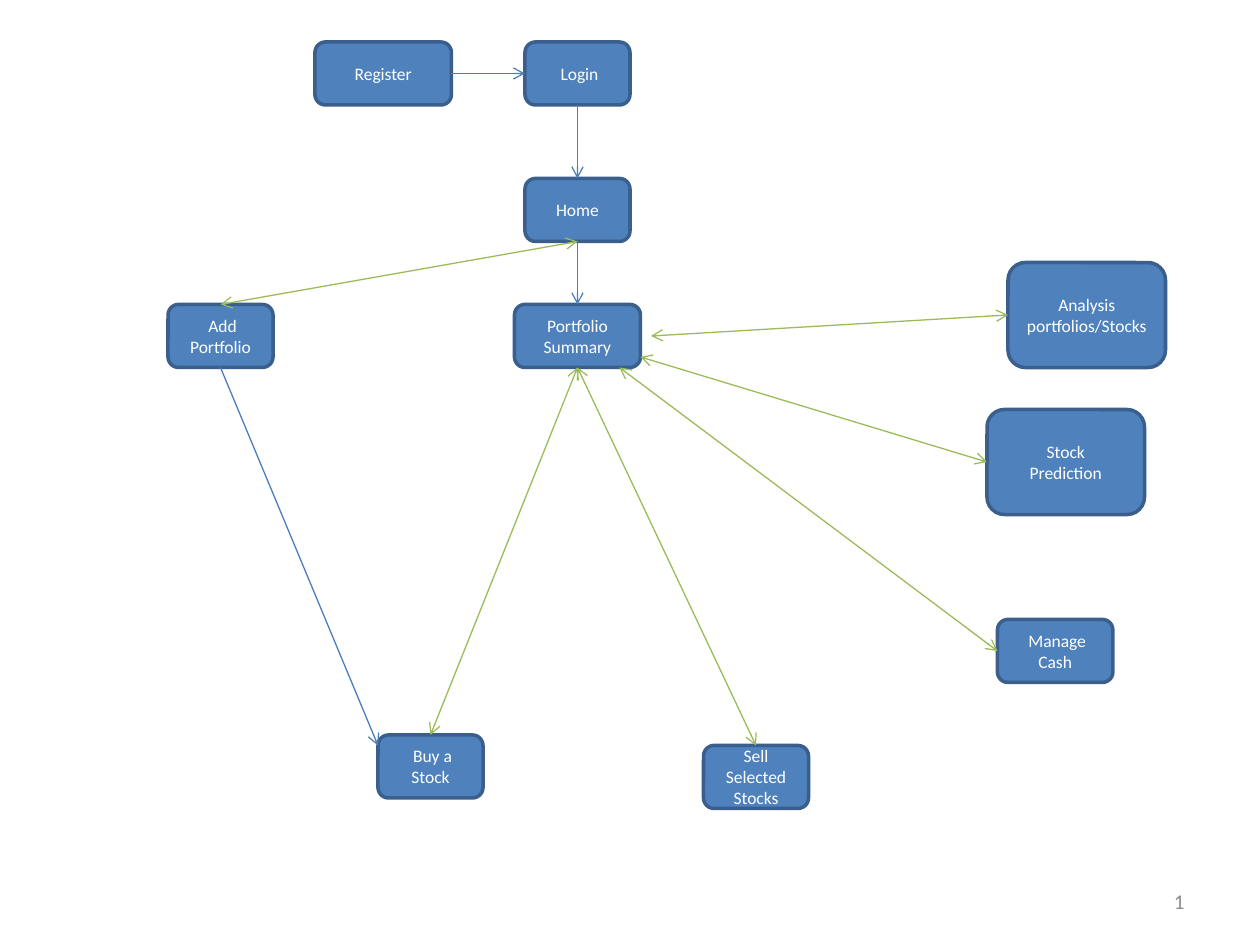
from dataclasses import dataclass

from lxml import etree
from pptx import Presentation
from pptx.dml.color import RGBColor
from pptx.enum.shapes import MSO_CONNECTOR, MSO_SHAPE
from pptx.enum.text import MSO_ANCHOR, PP_ALIGN
from pptx.oxml.ns import qn
from pptx.util import Pt


@dataclass(frozen=True)
class Theme:
    """Colours, type and line sizes of the slide."""
    font: str = "Calibri"
    fill: str = "4F81BD"
    border: str = "3A5F8C"
    text: str = "FFFFFF"
    number: str = "8C8C8C"
    one_way: str = "4B7EBC"
    two_way: str = "9BBB59"
    label_size: float = 10
    number_size: float = 12
    border_width: float = 2
    arrow_width: float = 0.75


THEME = Theme()
TOP, LEFT, BOTTOM, RIGHT = range(4)

PAGES = {
    "register": ("Register", 180, 24, 78, 36),
    "login": (" Login", 300, 24, 60, 36),
    "home": ("Home", 300, 102, 60, 36),
    "add": (" Add Portfolio", 96, 174, 60, 36),
    "summary": ("Portfolio Summary", 294, 174, 72, 36),
    "buy": (" Buy a Stock", 216, 420, 60, 36),
    "sell": ("Sell\nSelected Stocks", 402, 426, 60, 36),
    "cash": (" Manage Cash", 570, 354, 66, 36),
    "analysis": ("Analysis\nportfolios/Stocks", 576, 150, 90, 60),
    "prediction": ("Stock\nPrediction", 564, 234, 90, 60),
}

ONE_WAY = [
    ("register", RIGHT, "login", LEFT),
    ("login", BOTTOM, "home", TOP),
    ("home", BOTTOM, "summary", TOP),
    ("add", BOTTOM, "buy", (0, 6)),
]

TWO_WAY = [
    ("buy", TOP, "summary", BOTTOM),
    ("sell", TOP, "summary", BOTTOM),
    ("analysis", LEFT, "summary", (78, 18)),
    ("add", TOP, "home", BOTTOM),
    ("cash", LEFT, "summary", (60, 36)),
    ("prediction", LEFT, "summary", (72, 30)),
]


def style_font(font, size, color):
    """Apply the theme font with a size and colour."""
    font.name, font.size = THEME.font, Pt(size)
    font.color.rgb = RGBColor.from_string(color)


def add_page(slide, text, left, top, width, height):
    """Draw one rounded page box with its centred label."""
    page = slide.shapes.add_shape(
        MSO_SHAPE.ROUNDED_RECTANGLE, Pt(left), Pt(top), Pt(width), Pt(height))
    page.shadow.inherit = False
    page.fill.solid()
    page.fill.fore_color.rgb = RGBColor.from_string(THEME.fill)
    page.line.color.rgb = RGBColor.from_string(THEME.border)
    page.line.width = Pt(THEME.border_width)
    frame = page.text_frame
    frame.word_wrap, frame.vertical_anchor = True, MSO_ANCHOR.MIDDLE
    frame.text = text
    for paragraph in frame.paragraphs:
        paragraph.alignment = PP_ALIGN.CENTER
        style_font(paragraph.runs[0].font, THEME.label_size, THEME.text)
    return page


def add_arrow(slide, source, source_side, target, target_end, color, ends):
    """Link a page side to another page's side or to an offset within it."""
    glued = isinstance(target_end, int)
    dx, dy = (0, 0) if glued else target_end
    arrow = slide.shapes.add_connector(
        MSO_CONNECTOR.STRAIGHT, source.left, source.top,
        target.left + Pt(dx), target.top + Pt(dy))
    arrow.begin_connect(source, source_side)
    if glued:
        arrow.end_connect(target, target_end)
    arrow.line.color.rgb = RGBColor.from_string(color)
    arrow.line.width = Pt(THEME.arrow_width)
    line = arrow.line._get_or_add_ln()
    for end in ends:
        etree.SubElement(line, qn(f"a:{end}"), type="arrow")
    etree.SubElement(arrow._element.spPr, qn("a:effectLst"))


def add_flow(slide, left, top):
    """Draw the page boxes and the arrows between them."""
    pages = {key: add_page(slide, text, left + x, top + y, width, height)
             for key, (text, x, y, width, height) in PAGES.items()}
    for links, color, ends in (
            (ONE_WAY, THEME.one_way, ["tailEnd"]),
            (TWO_WAY, THEME.two_way, ["headEnd", "tailEnd"])):
        for source, side, target, end in links:
            add_arrow(slide, pages[source], side, pages[target], end, color, ends)


def add_slide_number(slide, left, top, width, height):
    """Place the slide number field at the right of its box."""
    box = slide.shapes.add_textbox(Pt(left), Pt(top), Pt(width), Pt(height))
    frame = box.text_frame
    frame.word_wrap, frame.vertical_anchor = True, MSO_ANCHOR.MIDDLE
    paragraph = frame.paragraphs[0]
    paragraph.alignment = PP_ALIGN.RIGHT
    run = paragraph.add_run()
    run.text = "1"
    style_font(run.font, THEME.number_size, THEME.number)
    field = etree.SubElement(
        paragraph._p, qn("a:fld"), type="slidenum",
        id="{B6F15528-21DE-4FAA-801E-634DDDAF4B2B}")
    field.extend(list(run._r))
    paragraph._p.remove(run._r)


def main():
    """Build and save the presentation."""
    deck = Presentation()
    deck.slide_width, deck.slide_height = Pt(720), Pt(540)
    slide = deck.slides.add_slide(deck.slide_layouts[6])
    add_flow(slide, 0, 0)
    add_slide_number(slide, 516, 500.5, 168, 28.75)
    deck.save("out.pptx")


main()
